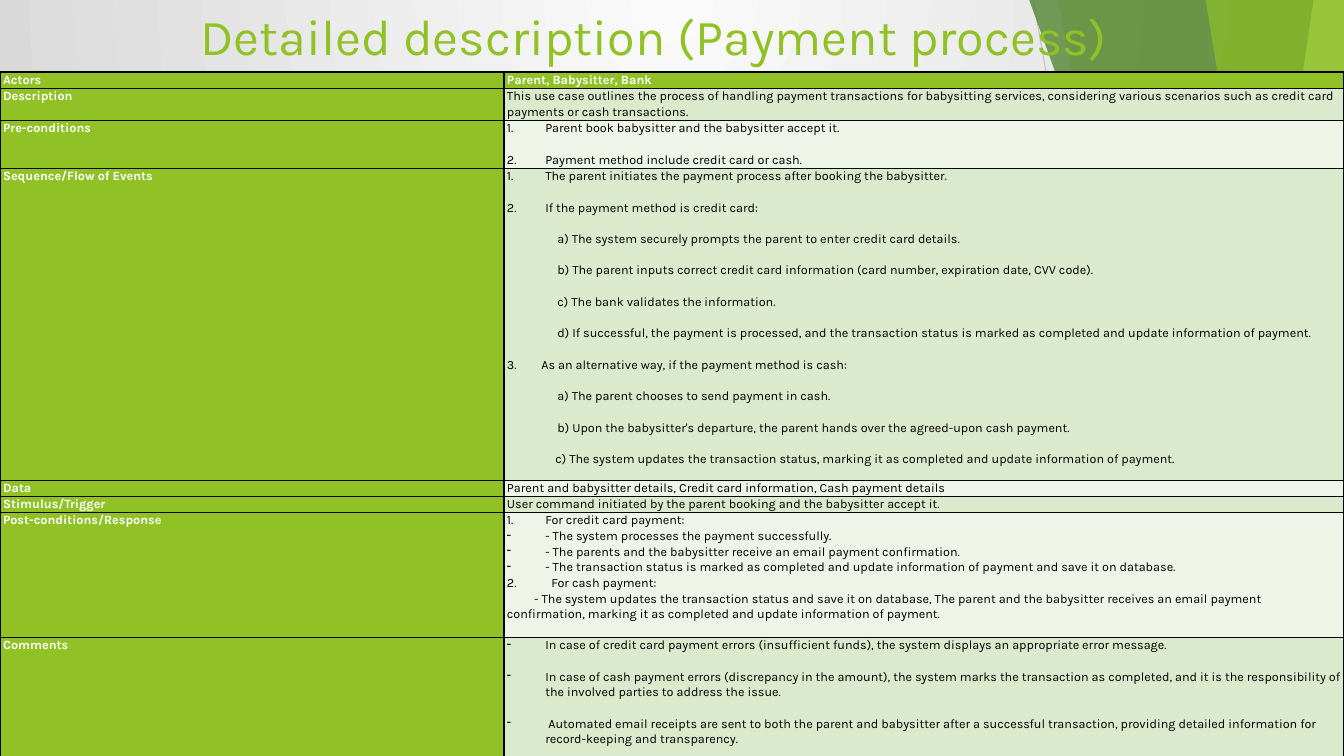
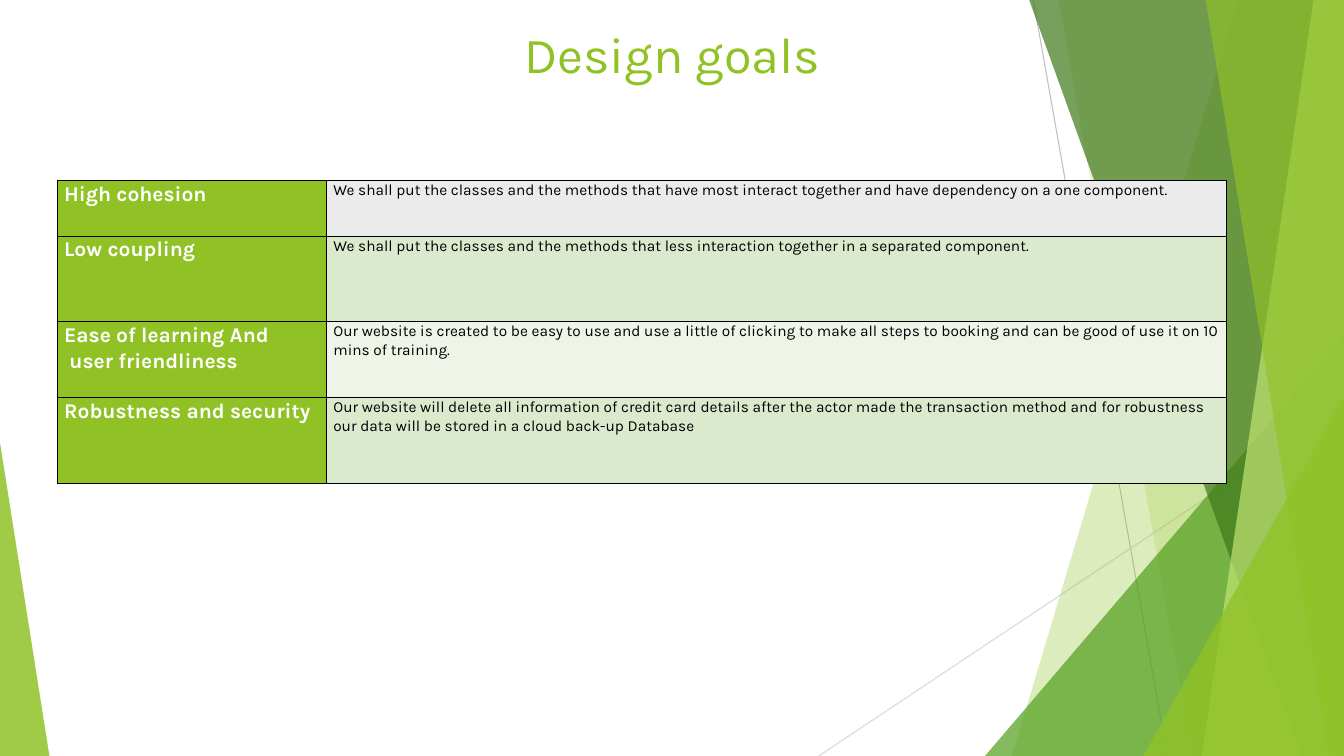
from dataclasses import dataclass

from lxml.etree import SubElement
from pptx import Presentation
from pptx.dml.color import RGBColor
from pptx.enum.shapes import MSO_CONNECTOR, MSO_SHAPE
from pptx.enum.text import MSO_ANCHOR, PP_ALIGN
from pptx.oxml import parse_xml
from pptx.oxml.ns import nsdecls, qn
from pptx.util import Emu, Inches, Pt

SLIDE_WIDTH, SLIDE_HEIGHT = Inches(13.33), Inches(7.5)


@dataclass(frozen=True)
class Theme:
    font: str = "Karla"
    green: str = "90C226"
    mid_green: str = "54A021"
    dark_green: str = "3F7819"
    lime: str = "C0E474"
    white: str = "FFFFFF"
    black: str = "000000"
    grey: str = "EBEBEB"
    bands: tuple[str, str] = ("EEF4E8", "DBE9CD")
    glow: tuple[str, str] = ("FAFAFA", "D5D5D5")
    title_size: float = 36
    line_spacing: float = 1.06
    border_width: float = 1


THEME = Theme()


@dataclass(frozen=True)
class Ray:
    """A straight line; ends are in percent of the slide."""
    start: tuple[float, float]
    end: tuple[float, float]
    color: str


@dataclass(frozen=True)
class Wedge:
    """A full-height band from a slanted left edge to the slide's right edge."""
    top: float
    bottom: float
    color: str
    opacity: int


@dataclass(frozen=True)
class Corner:
    """A triangle on the slide's bottom edge; apex 0 is left, 1 is right."""
    left: float
    top: float
    width: float
    apex: int
    color: str
    opacity: int


@dataclass(frozen=True)
class Line:
    """One paragraph; margin and first (first-line offset) are in inches."""
    text: str
    margin: float = 0
    first: float = 0
    dash: bool = False
    number: int = 0
    gap: float = 0


@dataclass(frozen=True)
class Row:
    height: float
    label: tuple[Line, ...]
    body: tuple[Line, ...]


@dataclass(frozen=True)
class Grid:
    """A two-column table; lengths are in percent of the slide."""
    left: float
    top: float
    columns: tuple[float, float]
    rows: tuple[Row, ...]
    label_size: float
    body_size: float
    inset: float
    first_fill: str
    first_bold: bool = False


RAYS = (
    Ray((76.88, 0), (86.86, 100), "BFBFBF"),
    Ray((100, 53.73), (60.92, 100), "D9D9D9"),
)
FACETS: tuple[Wedge | Corner, ...] = (
    Wedge(92.11, 75.3, THEME.green, 30),
    Wedge(78.76, 88.73, THEME.green, 20),
    Corner(73.29, 44.4, 26.71, 1, THEME.mid_green, 72),
    Wedge(76.58, 96.84, THEME.dark_green, 70),
    Wedge(97.74, 89.42, THEME.lime, 70),
    Wedge(89.71, 98.87, THEME.green, 65),
    Corner(85.06, 52.4, 14.94, 1, THEME.green, 80),
    Corner(0, 58.53, 3.68, 0, THEME.green, 85),
)

BLANK_LINE = 11.25
HANG = 0.38


def numbered(number: int, text: str, margin: float = HANG, gap: float = 0) -> Line:
    return Line(text, margin, -margin, number=number, gap=gap)


def dashed(text: str, gap: float = 0) -> Line:
    return Line(text, HANG, -HANG, dash=True, gap=gap)


def step(text: str, margin: float = 0.5) -> Line:
    return Line(text, margin, gap=BLANK_LINE)


def row(height: float, label: str, *body: Line | str) -> Row:
    """Build a row; a label is split into paragraphs at line feeds."""
    lines = tuple(Line(item) if isinstance(item, str) else item for item in body)
    return Row(height, tuple(Line(part) for part in label.split("\n")), lines)


PAYMENT = Grid(0, 9.53, (37.5, 62.5), (
    row(2.12, "Actors", "Parent, Babysitter, Bank"),
    row(4.23, "Description",
        "This use case outlines the process of handling payment transactions for babysitting services, "
        "considering various scenarios such as credit card payments or cash transactions."),
    row(6.35, "Pre-conditions",
        numbered(1, "Parent book babysitter and the babysitter accept it."),
        numbered(2, "Payment method include credit card or cash.", gap=BLANK_LINE)),
    row(41.27, "Sequence/Flow of Events",
        numbered(1, "The parent initiates the payment process after booking the babysitter."),
        numbered(2, "If the payment method is credit card:", gap=BLANK_LINE),
        step("a) The system securely prompts the parent to enter credit card details."),
        step("b) The parent inputs correct credit card information (card number, expiration date, CVV code)."),
        step("c) The bank validates the information."),
        step("d) If successful, the payment is processed, and the transaction status is marked as completed "
             "and update information of payment."),
        numbered(3, "As an alternative way, if the payment method is cash:", 0.34, BLANK_LINE),
        step("a) The parent chooses to send payment in cash."),
        step("b) Upon the babysitter's departure, the parent hands over the agreed-upon cash payment."),
        step("c) The system updates the transaction status, marking it as completed "
             "and update information of payment.", 0.48)),
    row(2.12, "Data", "Parent and babysitter details, Credit card information, Cash payment details"),
    row(2.12, "Stimulus/Trigger",
        "User command initiated by the parent booking and the babysitter accept it."),
    row(16.53, "Post-conditions/Response",
        numbered(1, "For credit card payment:"),
        dashed("- The system processes the payment successfully."),
        dashed("- The parents and the babysitter receive an email payment confirmation."),
        dashed("- The transaction status is marked as completed and update information of payment "
               "and save it on database."),
        numbered(2, "For cash payment:", 0.44),
        Line("- The system updates the transaction status and save it on database, The parent and the "
             "babysitter receives an email payment confirmation, marking it as completed and update "
             "information of payment.", first=0.27)),
    row(17.33, "Comments",
        dashed("In case of credit card payment errors (insufficient funds), the system displays an "
               "appropriate error message."),
        dashed("In case of cash payment errors (discrepancy in the amount), the system marks the transaction "
               "as completed, and it is the responsibility of the involved parties to address the issue.",
               BLANK_LINE),
        dashed(" Automated email receipts are sent to both the parent and babysitter after a successful "
               "transaction, providing detailed information for record-keeping and transparency.",
               BLANK_LINE)),
), label_size=9, body_size=9, inset=0.03, first_fill=THEME.green, first_bold=True)

GOALS = Grid(4.25, 23.87, (20.03, 66.99), (
    row(7.37, "High cohesion",
        "We shall put the classes and the methods that have most interact together and have dependency "
        "on a one component."),
    row(11.3, "Low coupling",
        "We shall put the classes and the methods that less interaction together in a separated component."),
    row(10.05, "Ease of learning And\n user friendliness",
        "Our website is created to be easy to use and use a little of clicking to make all steps to booking "
        "and can be good of use it on 10 mins of training."),
    row(11.4, "Robustness and security",
        "Our website will delete all information of credit card details after the actor made the transaction "
        "method and for robustness our data will be stored in a cloud back-up Database"),
), label_size=15, body_size=11, inset=0.07, first_fill=THEME.grey)


def across(percent: float) -> Emu:
    return Emu(round(SLIDE_WIDTH * percent / 100))


def down(percent: float) -> Emu:
    return Emu(round(SLIDE_HEIGHT * percent / 100))


def paint(fill, color: str) -> None:
    fill.solid()
    fill.fore_color.rgb = RGBColor.from_string(color)


def format_runs(paragraph, size: float, color: str, bold: bool = False) -> None:
    for run in paragraph.runs:
        run.font.name, run.font.size, run.font.bold = THEME.font, Pt(size), bold
        run.font.color.rgb = RGBColor.from_string(color)


def draw_facet(slide, facet: Wedge | Corner) -> None:
    if isinstance(facet, Wedge):
        builder = slide.shapes.build_freeform(across(facet.top), 0)
        builder.add_line_segments([(across(100), 0), (across(100), down(100)),
                                   (across(facet.bottom), down(100))])
        shape = builder.convert_to_shape()
    else:
        shape = slide.shapes.add_shape(MSO_SHAPE.ISOSCELES_TRIANGLE, across(facet.left), down(facet.top),
                                       across(facet.width), down(100 - facet.top))
        shape.adjustments[0] = facet.apex
    shape.shadow.inherit = False
    shape.line.fill.background()
    paint(shape.fill, facet.color)
    color = shape.element.spPr.find(qn("a:solidFill"))[0]
    SubElement(color, qn("a:alpha"), val=str(facet.opacity * 1000))


def draw_backdrop(slide) -> None:
    for ray in RAYS:
        connector = slide.shapes.add_connector(MSO_CONNECTOR.STRAIGHT, across(ray.start[0]), down(ray.start[1]),
                                               across(ray.end[0]), down(ray.end[1]))
        connector.line.width = Pt(0.75)
        connector.line.color.rgb = RGBColor.from_string(ray.color)
        SubElement(connector.element.spPr, qn("a:effectLst"))
    for facet in FACETS:
        draw_facet(slide, facet)


def add_glow(slide) -> None:
    """Fill the background with a round gradient centred on the top edge."""
    fill = slide.background.fill
    fill.gradient()
    for stop, color, position in zip(fill.gradient_stops, THEME.glow, (0, 1)):
        stop.color.rgb = RGBColor.from_string(color)
        stop.position = position
    gradient = next(slide.element.iter(qn("a:gradFill")))
    gradient.replace(gradient.find(qn("a:lin")), parse_xml(
        f'<a:path {nsdecls("a")} path="circle"><a:fillToRect l="43000" r="43000" b="100000"/></a:path>'))


def add_title(slide, text: str, left: float, top: float, alignment: PP_ALIGN) -> None:
    frame = slide.shapes.add_textbox(across(left), down(top), across(78.77), down(15.33)).text_frame
    frame.word_wrap = True
    frame.text = text
    frame.paragraphs[0].alignment = alignment
    format_runs(frame.paragraphs[0], THEME.title_size, THEME.green)


def write_line(paragraph, line: Line, size: float, color: str, bold: bool) -> None:
    paragraph.text = line.text
    paragraph.line_spacing = THEME.line_spacing
    paragraph.space_before = Pt(line.gap)
    format_runs(paragraph, size, color, bold)
    properties = paragraph._p.get_or_add_pPr()
    properties.set("marL", str(Inches(line.margin)))
    properties.set("indent", str(Inches(line.first)))
    if line.number:
        SubElement(properties, qn("a:buAutoNum"), type="arabicPeriod", startAt=str(line.number))
    elif line.dash:
        SubElement(properties, qn("a:buChar"), char="-")


def add_borders(cell) -> None:
    properties = cell._tc.get_or_add_tcPr()
    for index, side in enumerate("LRTB"):
        properties.insert(index, parse_xml(
            f'<a:ln{side} {nsdecls("a")} w="{Pt(THEME.border_width)}"><a:solidFill>'
            f'<a:srgbClr val="{THEME.black}"/></a:solidFill></a:ln{side}>'))


def fill_cell(cell, lines: tuple[Line, ...], fill: str, size: float, inset: float, bold: bool) -> None:
    paint(cell.fill, fill)
    add_borders(cell)
    cell.margin_left = cell.margin_right = Inches(inset)
    cell.margin_top = cell.margin_bottom = 0
    cell.vertical_anchor = MSO_ANCHOR.TOP
    frame = cell.text_frame
    for index, line in enumerate(lines):
        paragraph = frame.add_paragraph() if index else frame.paragraphs[0]
        write_line(paragraph, line, size, THEME.white if bold else THEME.black, bold)


def add_grid(slide, grid: Grid) -> None:
    table = slide.shapes.add_table(len(grid.rows), 2, across(grid.left), down(grid.top), across(sum(grid.columns)),
                                   down(sum(item.height for item in grid.rows))).table
    table.first_row = table.horz_banding = False
    for column, width in zip(table.columns, grid.columns):
        column.width = across(width)
    for index, item in enumerate(grid.rows):
        table.rows[index].height = down(item.height)
        body_fill = THEME.bands[index % 2] if index else grid.first_fill
        fill_cell(table.cell(index, 0), item.label, THEME.green, grid.label_size, grid.inset, True)
        fill_cell(table.cell(index, 1), item.body, body_fill, grid.body_size, grid.inset,
                  grid.first_bold and index == 0)


def main() -> None:
    presentation = Presentation()
    presentation.slide_width, presentation.slide_height = SLIDE_WIDTH, SLIDE_HEIGHT
    blank = presentation.slide_layouts[6]

    payment = presentation.slides.add_slide(blank)
    add_glow(payment)
    draw_backdrop(payment)
    add_title(payment, "Detailed description (Payment process)", 14.18, 0, PP_ALIGN.LEFT)
    add_grid(payment, PAYMENT)

    goals = presentation.slides.add_slide(blank)
    paint(goals.background.fill, THEME.white)
    draw_backdrop(goals)
    add_title(goals, "Design goals", 10.64, 2.4, PP_ALIGN.CENTER)
    add_grid(goals, GOALS)

    presentation.save("out.pptx")


if __name__ == "__main__":
    main()
